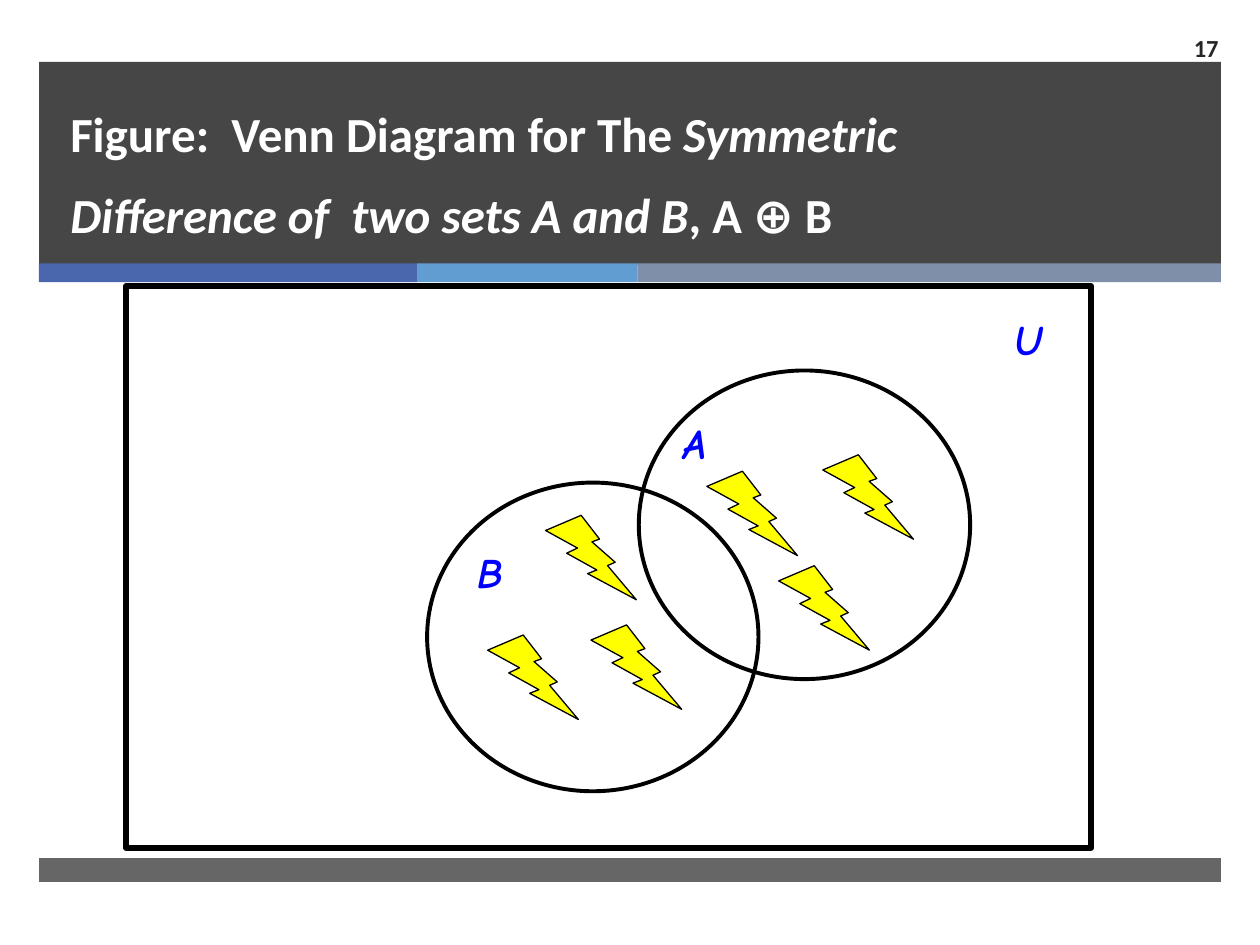
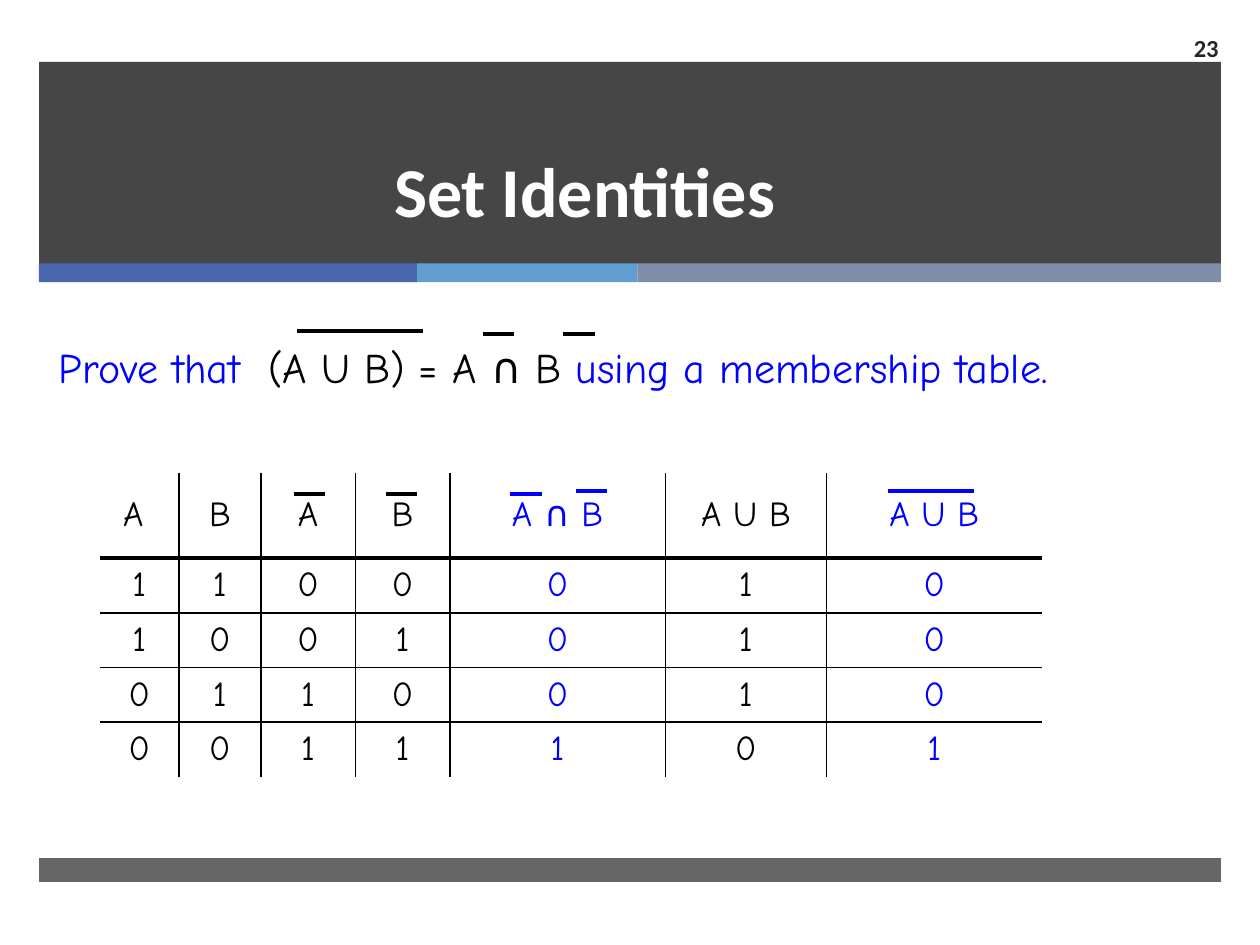
from lxml import etree
from pptx import Presentation
from pptx.dml.color import RGBColor
from pptx.enum.shapes import MSO_CONNECTOR, MSO_SHAPE
from pptx.enum.text import MSO_ANCHOR, PP_ALIGN
from pptx.oxml import parse_xml
from pptx.oxml.ns import nsdecls, qn
from pptx.util import Inches, Pt

RECTANGLE, OVAL, BOLT = MSO_SHAPE.RECTANGLE, MSO_SHAPE.OVAL, MSO_SHAPE.LIGHTNING_BOLT
STRAIGHT = MSO_CONNECTOR.STRAIGHT
LEFT, CENTER, RIGHT = PP_ALIGN.LEFT, PP_ALIGN.CENTER, PP_ALIGN.RIGHT
TOP, MIDDLE, BOTTOM = MSO_ANCHOR.TOP, MSO_ANCHOR.MIDDLE, MSO_ANCHOR.BOTTOM

COLORS = {
    "dark": "262626", "indigo": "4A66AC", "sky": "629DD1", "slate": "7F8FA9",
    "white": "FFFFFF", "black": "000000", "blue": "0000FF", "yellow": "FFFF00",
}
RGB = {name: RGBColor.from_string(value) for name, value in COLORS.items()}
HEADING_FONT, BODY_FONT = "Calibri", "Comic Neue"


def add_figure(page, kind, area, fill=None, line_width=0, opacity=100):
    """Add a preset shape with an optional fill and black outline."""
    shape = page.shapes.add_shape(kind, *map(Inches, area))
    shape.shadow.inherit = False
    if fill:
        shape.fill.solid()
        shape.fill.fore_color.rgb = RGB[fill]
    else:
        shape.fill.background()
    if opacity < 100:
        color = shape._element.spPr.find(qn("a:solidFill"))[0]
        etree.SubElement(color, qn("a:alpha"), val=str(opacity * 1000))
    if line_width:
        shape.line.color.rgb = RGB["black"]
        shape.line.width = Pt(line_width)
    else:
        shape.line.fill.background()


def add_text(page, area, spans, font, size, color, align=LEFT, anchor=TOP,
             bold=False, spacing=None):
    """Add a one-paragraph text box; spans are (text, italic, color or None)."""
    box = page.shapes.add_textbox(*map(Inches, area))
    frame = box.text_frame
    frame.word_wrap = True
    frame.vertical_anchor = anchor
    para = frame.paragraphs[0]
    para.alignment = align
    para.line_spacing = spacing
    para.font.name, para.font.size, para.font.bold = font, Pt(size), bold
    para.font.color.rgb = RGB[color]
    for text, italic, span_color in spans:
        for index, part in enumerate(text.split("\n")):
            if index:
                para.add_line_break()
            span = para.add_run()
            span.text = part
            if italic:
                span.font.italic = True
            if span_color:
                span.font.color.rgb = RGB[span_color]


deck = Presentation()
deck.slide_width, deck.slide_height = Inches(10), Inches(7.5)

# Frame shared by both pages: title band, colour strip, footer, number, title
titles = [
    ("17", (0.46, 0.49, 8.54, 1.49), 28, LEFT,
     [("Figure:  Venn Diagram for The ", False, None),
      ("Symmetric \nDifference of  two sets A and B", True, None),
      (", A ⊕ B", False, None)]),
    ("23", (0.37, 0.7, 8.54, 1.19), 40, CENTER, [("Set Identities", False, None)]),
]
pages = []
for number, area, size, align, spans in titles:
    page = deck.slides.add_slide(deck.slide_layouts[6])
    pages.append(page)
    add_figure(page, RECTANGLE, (0.31, 0.49, 9.38, 1.61), "dark", opacity=85)
    left = 0.31
    for width, color in ((3, "indigo"), (1.75, "sky"), (4.63, "slate")):
        add_figure(page, RECTANGLE, (left, 2.09, width, 0.15), color)
        left += width
    add_figure(page, RECTANGLE, (0.31, 6.81, 9.38, 0.19), "dark", opacity=70)
    add_text(page, (9.08, 0.18, 0.69, 0.39), [(number, False, None)],
             HEADING_FONT, 14, "dark", RIGHT, MIDDLE, bold=True)
    add_text(page, area, spans, HEADING_FONT, size, "white", align, BOTTOM,
             bold=True, spacing=Pt(46))

venn_page, table_page = pages

# Venn diagram
add_figure(venn_page, RECTANGLE, (1, 2.27, 7.66, 4.46), "white", 3)
add_figure(venn_page, OVAL, (3.39, 3.83, 2.63, 2.45), "white", 2.25)
add_figure(venn_page, OVAL, (5.07, 2.94, 2.63, 2.45), None, 2.25)
set_labels = [
    ("A", (5.33, 3.31, 0.5, 0.47), 0.9),
    ("U", (7.95, 2.44, 0.85, 0.63), 1.0),
    ("B", (3.69, 4.33, 0.5, 0.39), 0.9),
]
for name, area, spacing in set_labels:
    add_text(venn_page, area, [(name, True, None)], BODY_FONT, 24, "blue",
             bold=True, spacing=spacing)
bolts = [(6.18, 4.49), (6.53, 3.61), (5.61, 3.74),
         (4.33, 4.09), (3.87, 5.04), (4.69, 4.96)]
for left, top in bolts:
    add_figure(venn_page, BOLT, (left, top, 0.72, 0.67), "yellow", 0.75)

# Statement to prove
add_text(table_page, (0.37, 2.71, 9.4, 0.5),
         [("Prove that  ", False, None), ("(A U B) = A ∩ B", False, "black"),
          (" using a membership table.", False, None)],
         BODY_FONT, 24, "blue", spacing=0.9)

# Membership table
rows = [
    ["A ", "B", "A", "B", "A ∩ B", "A U B", "A U B"],
    "1100010",
    "1001010",
    "0110010",
    "0011101",
]
column_widths = [0.63, 0.65, 0.75, 0.75, 1.71, 1.28, 1.71]
row_heights = [0.68] + [0.43] * 4
blue_columns = (4, 6)
table = table_page.shapes.add_table(
    len(rows), len(column_widths), Inches(0.79), Inches(3.75),
    Inches(sum(column_widths)), Inches(sum(row_heights))).table
table.first_row = table.horz_banding = False
for column, width in zip(table.columns, column_widths):
    column.width = Inches(width)
last_row, last_column = len(rows) - 1, len(column_widths) - 1
for r, values in enumerate(rows):
    table.rows[r].height = Inches(row_heights[r])
    for c, value in enumerate(values):
        cell = table.cell(r, c)
        cell.fill.background()
        cell.vertical_anchor = MIDDLE
        para = cell.text_frame.paragraphs[0]
        para.alignment = CENTER
        para.font.name, para.font.size = BODY_FONT, Pt(20)
        para.font.color.rgb = RGB["blue" if c in blue_columns else "black"]
        para.add_run().text = value
        # Only inner borders show; the rule under the header is thick
        borders = [
            ("lnL", 1 if c > 0 else 0),
            ("lnR", 1 if c < last_column else 0),
            ("lnT", (0, 3, 1, 1, 1)[r]),
            ("lnB", 0 if r == last_row else 3 if r == 0 else 1),
        ]
        properties = cell._tc.get_or_add_tcPr()
        for position, (tag, width) in enumerate(borders):
            paint = (f'<a:solidFill><a:srgbClr val="{COLORS["black"]}"/></a:solidFill>'
                     if width else "<a:noFill/>")
            properties.insert(position, parse_xml(
                f'<a:{tag} {nsdecls("a")} w="{Pt(width)}">{paint}</a:{tag}>'))

# Complement bars above the statement and the table headings
bars = [
    (2.36, 1, 2.63, "black"), (3.83, 0.25, 2.65, "black"), (4.47, 0.25, 2.65, "black"),
    (2.33, 0.25, 3.92, "black"), (3.06, 0.25, 3.92, "black"),
    (7.05, 0.68, 3.9, "blue"), (4.05, 0.25, 3.92, "blue"), (4.57, 0.25, 3.9, "blue"),
]
for left, length, top, color in bars:
    bar = table_page.shapes.add_connector(
        STRAIGHT, Inches(left), Inches(top), Inches(left + length), Inches(top))
    bar.line.color.rgb = RGB[color]
    bar.line.width = Pt(2.25)
    etree.SubElement(bar._element.spPr, qn("a:effectLst"))

deck.save("out.pptx")
